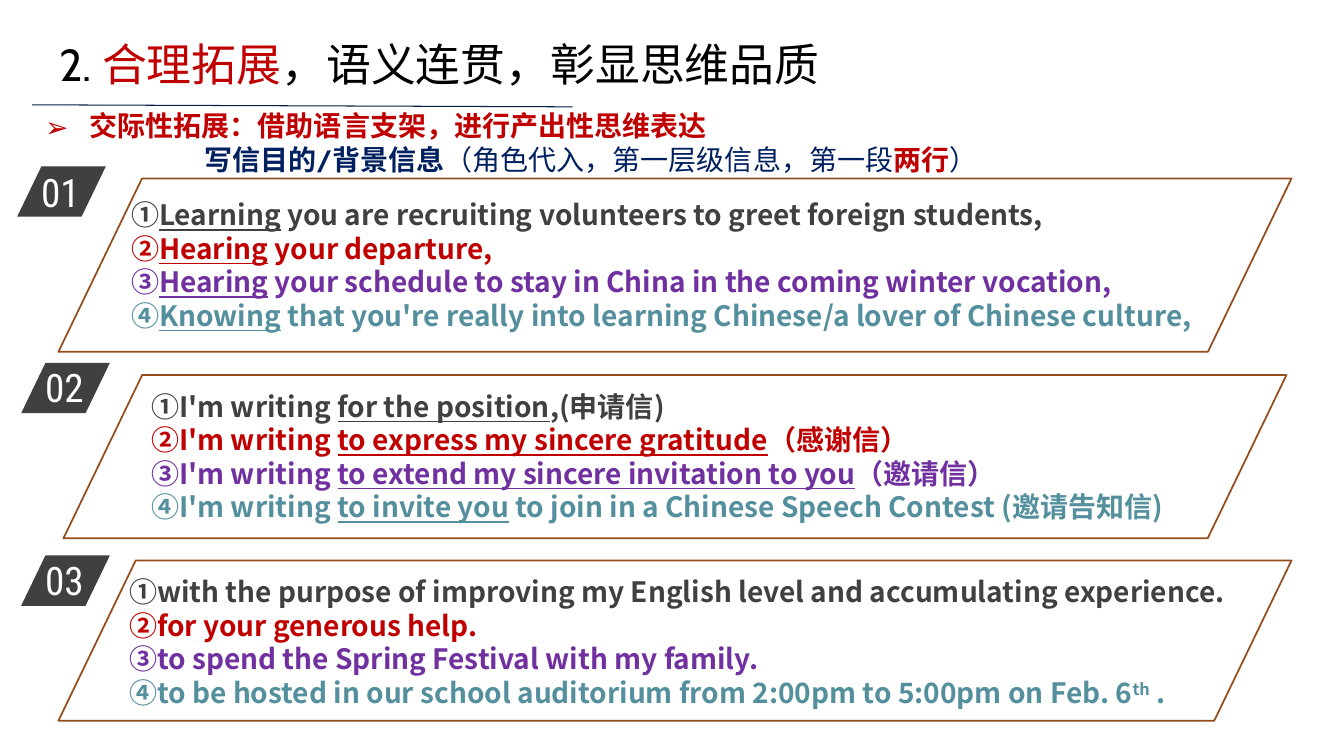
from dataclasses import dataclass

import pptx
import pptx.dml.color
import pptx.enum.shapes
import pptx.oxml.ns
import pptx.util
from lxml import etree

Inches = pptx.util.Inches
Pt = pptx.util.Pt
qn = pptx.oxml.ns.qn
SHAPES = pptx.enum.shapes.MSO_SHAPE

HEX = {"gray": "404040", "red": "C00000", "purple": "7030A0", "teal": "548F9D",
       "navy": "002060", "rule": "041F44", "brown": "944E1D",
       "black": "000000", "white": "FFFFFF"}
HUES = ("gray", "red", "purple", "teal")
CJK = "Noto Sans CJK SC"
SLANT = 0.482


@dataclass
class Box:
    left: float
    top: float
    width: float
    height: float

    def emu(self) -> list[int]:
        return [Inches(v) for v in (self.left, self.top, self.width, self.height)]


@dataclass
class Bit:
    """One run of text."""
    text: str
    hue: str
    size: float = 20
    face: str = CJK
    bold: bool = False
    under: bool = False
    sup: bool = False


@dataclass
class Panel:
    """A numbered tag, an outlined frame and four lines split as plain, underlined, plain."""
    label: str
    tag: Box
    num: Box
    frame: Box
    body: Box
    lines: list[tuple[str, ...]]


PANELS = [
    Panel("01", Box(0.17, 1.65, 0.88, 0.5), Box(0.31, 1.62, 0.84, 0.49),
          Box(0.58, 1.77, 12.23, 1.72), Box(1.23, 1.92, 11.31, 1.42), [
        ("①", "Learning", " you are recruiting volunteers to greet foreign students,"),
        ("②", "Hearing", " your departure,"),
        ("③", "Hearing", " your schedule to stay in China in the coming winter vocation,"),
        ("④", "Knowing",
         " that you're really into learning Chinese/a lover of Chinese culture,")]),
    Panel("02", Box(0.21, 3.6, 0.88, 0.5), Box(0.35, 3.55, 0.84, 0.49),
          Box(0.63, 3.72, 12.13, 1.62), Box(1.43, 3.82, 10.8, 1.42), [
        ("①I'm writing ", "for the position", ",(申请信)"),
        ("②I'm writing ", "to express my sincere gratitude", "（感谢信）"),
        ("③I'm writing ", "to extend my sincere invitation to you", "（邀请信）"),
        ("④I'm writing ", "to invite you",
         " to join in a Chinese Speech Contest (邀请告知信)")]),
    Panel("03", Box(0.21, 5.51, 0.88, 0.5), Box(0.35, 5.47, 0.84, 0.49),
          Box(0.58, 5.56, 12.23, 1.59), Box(1.21, 5.66, 11.61, 1.42), [
        ("①with the purpose of improving my English level and accumulating experience.",),
        ("②for your generous help.",),
        ("③to spend the Spring Festival with my family.",),
        ("④to be hosted in our school auditorium from 2:00pm to 5:00pm on Feb. 6",
         "^th", " .")]),
]


def rgb(hue: str) -> pptx.dml.color.RGBColor:
    return pptx.dml.color.RGBColor.from_string(HEX[hue])


def add_bit(para, bit: Bit) -> None:
    run = para.add_run()
    run.text = bit.text
    font = run.font
    font.size = Pt(bit.size)
    font.bold = bit.bold
    font.underline = bit.under
    font.color.rgb = rgb(bit.hue)
    font.name = bit.face
    props = run._r.get_or_add_rPr()
    etree.SubElement(props, qn("a:ea"), typeface=CJK)
    if bit.sup:
        props.set("baseline", "30000")


def add_text(slide, box: Box, paras: list[list[Bit]],
             pad: tuple[float, float] = (0.1, 0.05)):
    frame = slide.shapes.add_textbox(*box.emu()).text_frame
    frame.word_wrap = True
    frame.margin_left = frame.margin_right = Inches(pad[0])
    frame.margin_top = frame.margin_bottom = Inches(pad[1])
    for i, bits in enumerate(paras):
        para = frame.paragraphs[0] if i == 0 else frame.add_paragraph()
        for bit in bits:
            add_bit(para, bit)
    return frame


def add_slant(slide, box: Box, fill: str = "", line: str = "") -> None:
    """Draw a parallelogram, filled or outlined."""
    shape = slide.shapes.add_shape(SHAPES.PARALLELOGRAM, *box.emu())
    shape.shadow.inherit = False
    shape.adjustments[0] = SLANT
    if fill:
        shape.fill.solid()
        shape.fill.fore_color.rgb = rgb(fill)
    else:
        shape.fill.background()
    if line:
        shape.line.color.rgb = rgb(line)
        shape.line.width = Pt(1.25)
    else:
        shape.line.fill.background()


def add_panel(slide, panel: Panel) -> None:
    add_slant(slide, panel.tag, fill="gray")
    add_text(slide, panel.num, [[Bit(panel.label, "white", 28, "Roboto Condensed")]])
    paras = []
    for hue, parts in zip(HUES, panel.lines):
        paras.append([Bit(part.lstrip("^"), hue, bold=True,
                          under=i == 1 and part[0] != "^", sup=part[0] == "^")
                      for i, part in enumerate(parts)])
    add_text(slide, panel.body, paras, (0.07, 0.04))
    add_slant(slide, panel.frame, line="brown")


def add_rule(slide) -> None:
    rule = slide.shapes.add_connector(
        pptx.enum.shapes.MSO_CONNECTOR.STRAIGHT,
        Inches(0.32), Inches(1.04), Inches(5.68), Inches(1.06))
    rule.line.color.rgb = rgb("rule")
    rule.line.width = Pt(0.75)
    etree.SubElement(rule._element.spPr, qn("a:effectLst"))


def add_head(slide) -> None:
    add_text(slide, Box(0.49, 0.32, 12.77, 0.64), [[
        Bit("2. ", "black", 32, "Cabin"),
        Bit("合理拓展", "red", 32, "Cabin"),
        Bit("，语义连贯，彰显思维品质", "black", 32, "Cabin")]])
    add_rule(slide)
    frame = add_text(slide, Box(0.35, 1.03, 11.93, 0.77), [
        [Bit("交际性拓展：借助语言支架，进行产出性思维表达", "red", face="Cabin", bold=True)],
        [Bit("写信目的/背景信息", "navy", face="Cabin", bold=True),
         Bit("（角色代入，第一层级信息，第一段", "navy", face="Cabin"),
         Bit("两行", "red", face="Cabin", bold=True),
         Bit("）", "navy", face="Cabin")]])
    first, second = (para._p.get_or_add_pPr() for para in frame.paragraphs)
    first.set("marL", str(Inches(0.44)))
    first.set("indent", str(-Inches(0.44)))
    etree.SubElement(first, qn("a:buFont"), typeface=CJK)
    etree.SubElement(first, qn("a:buChar"), char="➢")
    second.set("marL", str(Inches(1.58)))


def main() -> None:
    deck = pptx.Presentation()
    deck.slide_width = Inches(13.33)
    deck.slide_height = Inches(7.5)
    slide = deck.slides.add_slide(deck.slide_layouts[6])
    for panel in PANELS:
        add_panel(slide, panel)
    add_head(slide)
    deck.save("out.pptx")


if __name__ == "__main__":
    main()
